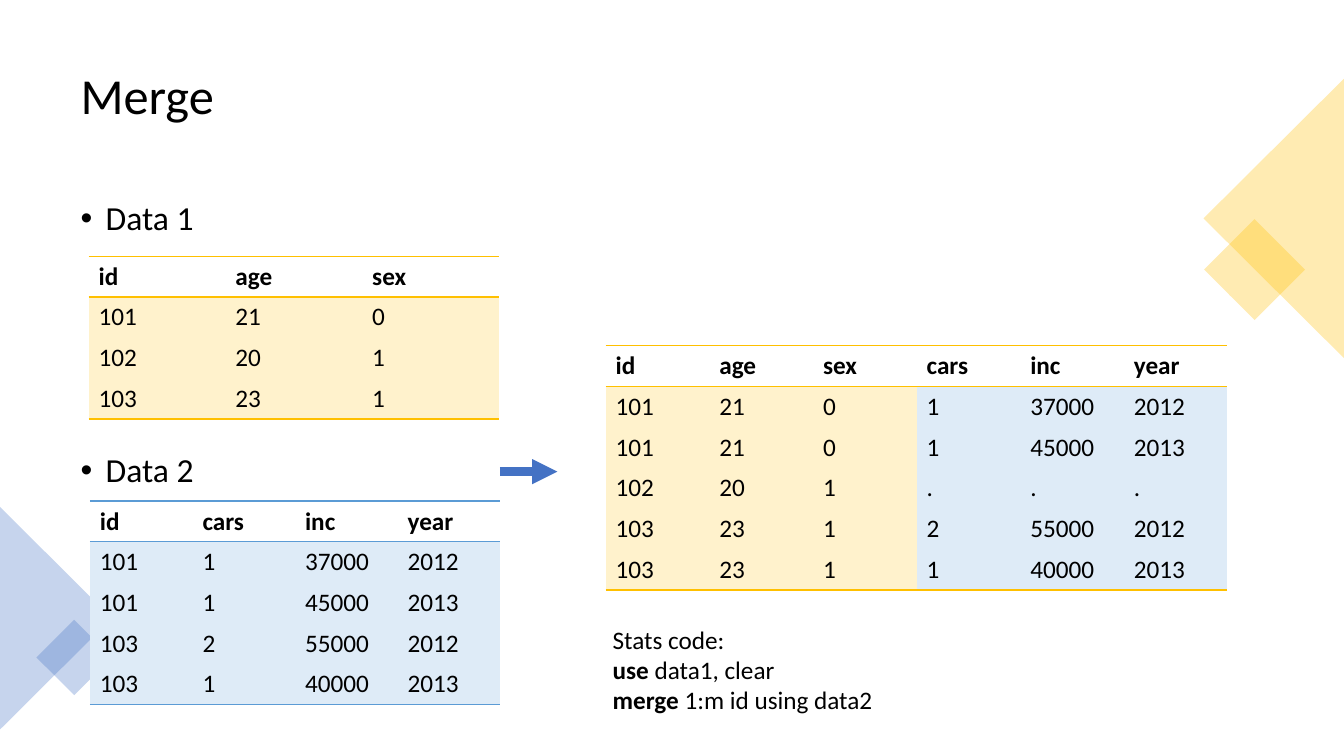
from lxml.etree import SubElement
from pptx import Presentation
from pptx.dml.color import RGBColor
from pptx.enum.shapes import MSO_CONNECTOR, MSO_SHAPE
from pptx.enum.text import MSO_ANCHOR
from pptx.oxml.ns import qn
from pptx.util import Inches, Pt

BLACK = RGBColor(0x00, 0x00, 0x00)
GOLD = RGBColor(0xFF, 0xC0, 0x00)
PALE_GOLD = RGBColor(0xFF, 0xF2, 0xCC)
BLUE = RGBColor(0x44, 0x72, 0xC4)
SKY = RGBColor(0x5B, 0x9B, 0xD5)
PALE_SKY = RGBColor(0xDE, 0xEB, 0xF7)

FONT = "Calibri"
COLUMNS, ROWS = 32, 18
TABLE_ROW = 0.97
PLAIN_TABLE_STYLE = "{2D5ABB26-0587-4C30-8999-92F81FD0307C}"

PERSON_FIELDS = ["id", "age", "sex"]
PEOPLE = [["101", "21", "0"], ["102", "20", "1"], ["103", "23", "1"]]
CAR_FIELDS = ["id", "cars", "inc", "year"]
CARS = [
    ["101", "1", "37000", "2012"],
    ["101", "1", "45000", "2013"],
    ["103", "2", "55000", "2012"],
    ["103", "1", "40000", "2013"],
]


class SlideBuilder:
    """Draws styled elements on one slide, measured in grid columns and rows."""

    def __init__(self, presentation):
        self.column = presentation.slide_width / COLUMNS
        self.row = presentation.slide_height / ROWS
        self.slide = presentation.slides.add_slide(presentation.slide_layouts[6])
        self.shapes = self.slide.shapes

    def place(self, left, top, width, height):
        return (round(left * self.column), round(top * self.row),
                round(width * self.column), round(height * self.row))

    def format_run(self, run, size, bold=False):
        run.font.name = FONT
        run.font.size = Pt(size)
        run.font.bold = bold
        run.font.color.rgb = BLACK

    def text(self, area, paragraphs, size, anchor=MSO_ANCHOR.TOP, spacing=1.0):
        text_frame = self.shapes.add_textbox(*self.place(*area)).text_frame
        text_frame.word_wrap = True
        text_frame.vertical_anchor = anchor
        for index, (keyword, rest) in enumerate(paragraphs):
            paragraph = text_frame.add_paragraph() if index else text_frame.paragraphs[0]
            paragraph.line_spacing = spacing
            for words, bold in ((keyword, True), (rest, False)):
                if words:
                    run = paragraph.add_run()
                    run.text = words
                    self.format_run(run, size, bold)
        return text_frame

    def bullets(self, area, items, size, gap):
        text_frame = self.text(area, [("", item) for item in items], size, spacing=0.9)
        for index, paragraph in enumerate(text_frame.paragraphs):
            paragraph.space_before = Pt(gap if index else 0)
            properties = paragraph._p.get_or_add_pPr()
            properties.set("marL", str(Inches(0.25)))
            properties.set("indent", str(-Inches(0.25)))
            SubElement(properties, qn("a:buFont"), typeface="Arial")
            SubElement(properties, qn("a:buChar"), char="•")

    def ornament(self, kind, area, rotation, color):
        shape = self.shapes.add_shape(kind, *self.place(*area))
        shape.rotation = rotation
        shape.shadow.inherit = False
        shape.line.fill.background()
        shape.fill.solid()
        shape.fill.fore_color.rgb = color
        color_element = shape._element.spPr.find(qn("a:solidFill"))[0]
        SubElement(color_element, qn("a:alpha"), val="30000")

    def border(self, cell, side, color):
        line = SubElement(cell._tc.get_or_add_tcPr(), qn(f"a:ln{side}"), w=str(Pt(1)))
        fill = SubElement(line, qn("a:solidFill"))
        SubElement(fill, qn("a:srgbClr"), val=str(color))

    def table(self, left, top, width, records, fills, rule_color):
        area = self.place(left, top, width, TABLE_ROW * len(records))
        table = self.shapes.add_table(len(records), len(fills), *area).table
        table.horz_banding = False
        table._tbl.tblPr.find(qn("a:tableStyleId")).text = PLAIN_TABLE_STYLE
        for row_index, record in enumerate(records):
            header = row_index == 0
            for column_index, value in enumerate(record):
                cell = table.cell(row_index, column_index)
                cell.text_frame.text = value
                self.format_run(cell.text_frame.paragraphs[0].runs[0], 18, header)
                if header:
                    self.border(cell, "T", rule_color)
                if header or row_index == len(records) - 1:
                    self.border(cell, "B", rule_color)
                if header:
                    cell.fill.background()
                else:
                    cell.fill.solid()
                    cell.fill.fore_color.rgb = fills[column_index]

    def arrow(self, left, right, level, color):
        x, y, width, _ = self.place(left, level, right - left, 0)
        arrow = self.shapes.add_connector(MSO_CONNECTOR.STRAIGHT, x, y, x + width, y)
        arrow.line.color.rgb = color
        arrow.line.width = Pt(6)
        SubElement(arrow.line._get_or_add_ln(), qn("a:tailEnd"), type="triangle")
        SubElement(arrow._element.spPr, qn("a:effectLst"))


def merge_records():
    merged = [PERSON_FIELDS + CAR_FIELDS[1:]]
    for person in PEOPLE:
        matches = [car[1:] for car in CARS if car[0] == person[0]]
        merged += [person + match for match in matches or [["."] * 3]]
    return merged


def main():
    presentation = Presentation()
    presentation.slide_width = Inches(13.33)
    presentation.slide_height = Inches(7.5)
    builder = SlideBuilder(presentation)

    builder.text((1.68, 0.84, 28.63, 2.98), [("", "Merge")], 36, MSO_ANCHOR.MIDDLE, 0.9)
    builder.bullets((1.68, 4.68, 28.63, 11.54), ["Data 1", "Data 2"], 24, 154)

    builder.ornament(MSO_SHAPE.RECTANGLE, (29.02, 5.57, 1.7, 1.7), 45, GOLD)
    builder.ornament(MSO_SHAPE.ISOSCELES_TRIANGLE, (27, 3.53, 6.65, 3.34), 270, GOLD)
    builder.ornament(MSO_SHAPE.ISOSCELES_TRIANGLE, (-1.32, 13.39, 5.3, 2.66), 90, BLUE)
    builder.ornament(MSO_SHAPE.RECTANGLE, (1.13, 15.02, 1.27, 1.27), 45, BLUE)

    builder.table(2.11, 6.1, 9.77, [PERSON_FIELDS] + PEOPLE, [PALE_GOLD] * 3, GOLD)
    builder.table(2.14, 11.93, 9.77, [CAR_FIELDS] + CARS, [PALE_SKY] * 4, SKY)
    builder.arrow(11.9, 13.27, 11.23, BLUE)
    builder.table(14.42, 8.23, 14.81, merge_records(),
                  [PALE_GOLD] * 3 + [PALE_SKY] * 3, GOLD)

    code = [("", "Stats code:"), ("use", " data1, clear"), ("merge ", "1:m id using data2")]
    builder.text((14.35, 14.74, 15.17, 2.42), code, 18)

    presentation.save("out.pptx")


if __name__ == "__main__":
    main()
